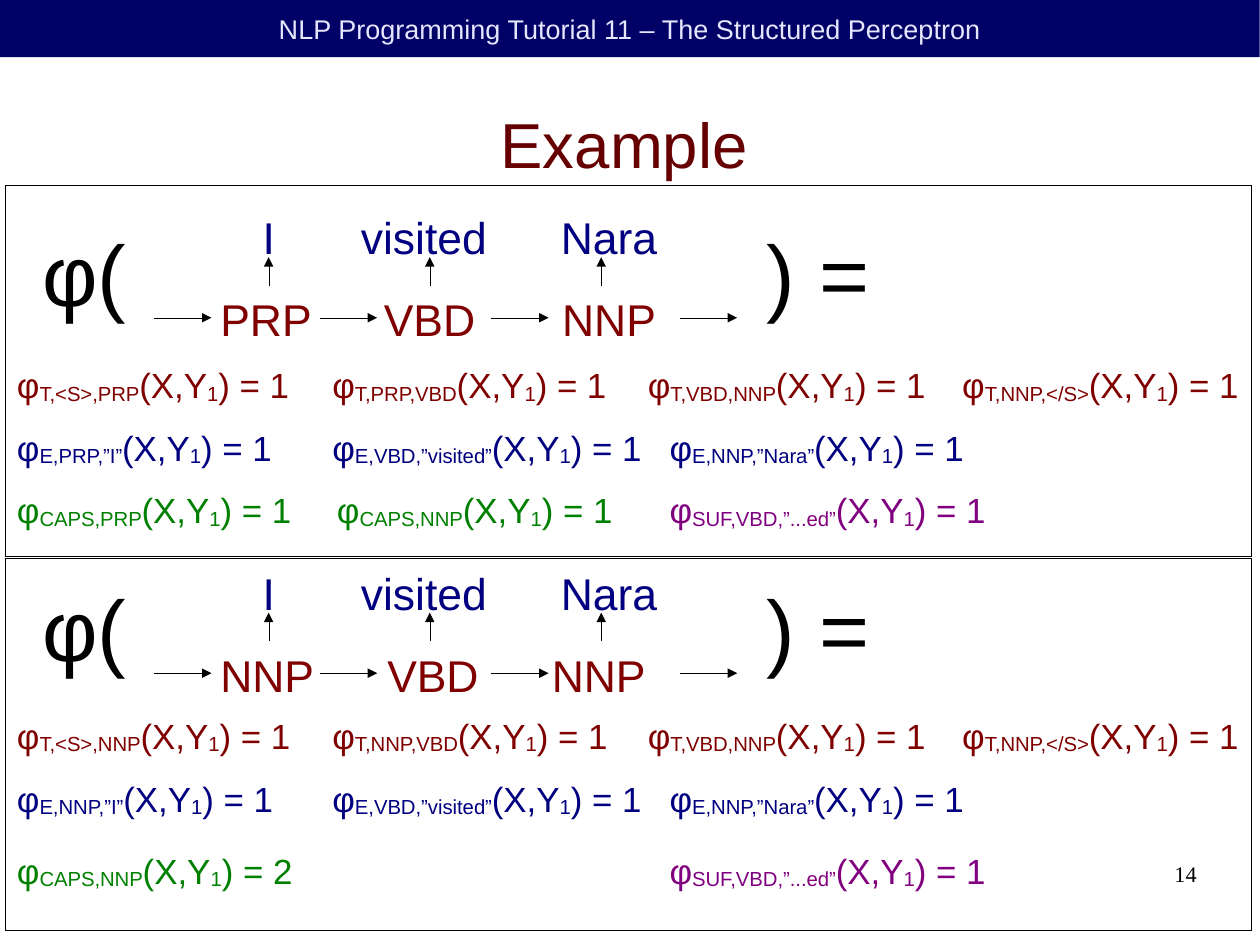
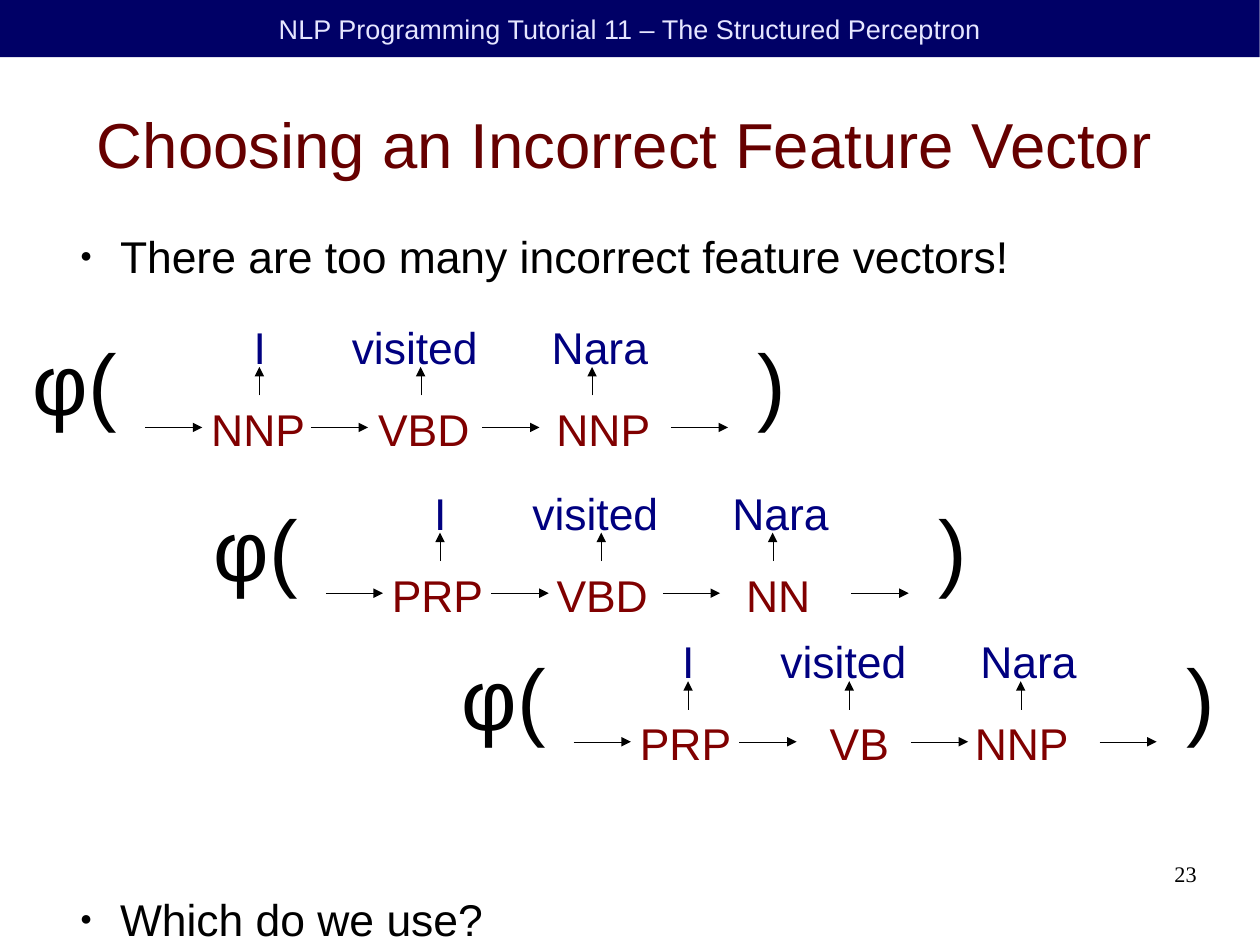
from dataclasses import dataclass
from typing import Any

from lxml import etree
from pptx import Presentation
from pptx import util as u
from pptx.dml.color import RGBColor
from pptx.enum import shapes, text
from pptx.oxml import ns

# Shared look
NAVY = RGBColor(0x00, 0x00, 0x66)
LAVENDER = RGBColor(0xE6, 0xE6, 0xFF)
MAROON = RGBColor(0x66, 0x00, 0x00)
RED = RGBColor(0x80, 0x00, 0x00)
BLUE = RGBColor(0x00, 0x00, 0x80)
GREEN = RGBColor(0x00, 0x80, 0x00)
PURPLE = RGBColor(0x80, 0x00, 0x80)
BLACK = RGBColor(0x00, 0x00, 0x00)
WIDTH = 11.02
HEADER = "NLP Programming Tutorial 11 – The Structured Perceptron"
LEFT, CENTER, RIGHT = text.PP_ALIGN.LEFT, text.PP_ALIGN.CENTER, text.PP_ALIGN.RIGHT
TOP, MIDDLE = text.MSO_ANCHOR.TOP, text.MSO_ANCHOR.MIDDLE

# Sequence diagram, measured from its top left corner
INSET = 0.1
WORDS = ("I", "visited", "Nara")
WORD_CENTERS = (3.44, 5.06)
UP_ARROWS = (2.08, 3.49, 4.99)
RIGHT_ARROWS = (1.08, 2.53, 4.03, 5.68)
CLOSING = 6.34

# Feature columns
COLUMNS = (0.05, 2.81, 5.57, 8.32)
THIRD = 5.76

Area = tuple[float, float, float, float]


@dataclass(frozen=True)
class Sequence:
    left: float
    top: float
    tags: tuple[str, str, str]
    tag_centers: tuple[float, float]
    closing: str = ")"


@dataclass(frozen=True)
class Feature:
    left: float
    top: float
    subscript: str
    color: RGBColor
    count: int = 1


@dataclass(frozen=True)
class Panel:
    top: float
    sequence: Sequence
    features: tuple[Feature, ...]


def apply(target: Any, formats: dict[str, Any]) -> None:
    for name, value in formats.items():
        setattr(target, name, value)


def place(box: Any, area: Area) -> None:
    apply(box, dict(zip(("left", "top", "width", "height"), map(u.Inches, area))))


def format_frame(frame: Any, side: float = 0, edge: float = 0, anchor: Any = TOP) -> None:
    apply(frame, {
        "word_wrap": True, "auto_size": text.MSO_AUTO_SIZE.NONE, "vertical_anchor": anchor,
        "margin_left": u.Inches(side), "margin_right": u.Inches(side),
        "margin_top": u.Inches(edge), "margin_bottom": u.Inches(edge),
    })


def add_span(para: Any, words: str, size: float, color: RGBColor, font: str = "Arial") -> Any:
    span = para.add_run()
    span.text = words
    apply(span.font, {"size": u.Pt(size), "name": font, "bold": False})
    span.font.color.rgb = color
    return span


def add_text(page: Any, area: Area, words: str, size: float, color: RGBColor,
             align: Any = LEFT, side: float = INSET, edge: float = 0.05,
             font: str = "Arial") -> Any:
    box = page.shapes.add_textbox(*map(u.Inches, area))
    format_frame(box.text_frame, side, edge)
    para = box.text_frame.paragraphs[0]
    para.alignment = align
    add_span(para, words, size, color, font)
    return para


def add_tabs(para: Any, stops: tuple[float, ...], align: str) -> None:
    tabs = etree.SubElement(para._p.get_or_add_pPr(), ns.qn("a:tabLst"))
    for stop in stops:
        etree.SubElement(tabs, ns.qn("a:tab"), pos=str(u.Inches(stop)), algn=align)


def add_rectangle(page: Any, area: Area) -> Any:
    box = page.shapes.add_shape(shapes.MSO_SHAPE.RECTANGLE, *map(u.Inches, area))
    box.shadow.inherit = False
    return box


def set_hairline(shape: Any) -> None:
    """Black line of the least width, free of the theme's line style."""
    shape.line.color.rgb = BLACK
    shape.line.width = u.Pt(0)
    shape._element.remove(shape._element.find(ns.qn("p:style")))


def add_arrow(page: Any, start: tuple[float, float], end: tuple[float, float]) -> None:
    arrow = page.shapes.add_connector(shapes.MSO_CONNECTOR.STRAIGHT,
                                      *map(u.Inches, start + end))
    set_hairline(arrow)
    etree.SubElement(arrow.line._get_or_add_ln(), ns.qn("a:tailEnd"), type="triangle")
    etree.SubElement(arrow._element.spPr, ns.qn("a:effectLst"))


def add_page(deck: Any, layout: int, title: str, number: int) -> Any:
    page = deck.slides.add_slide(deck.slide_layouts[layout])
    # Header band
    band = add_rectangle(page, (0, 0, WIDTH, 0.5))
    band.fill.solid()
    band.fill.fore_color.rgb = NAVY
    band.line.fill.background()
    format_frame(band.text_frame, INSET, 0.05, MIDDLE)
    para = band.text_frame.paragraphs[0]
    para.alignment = CENTER
    add_span(para, HEADER, 17, LAVENDER)
    # Title
    heading = page.shapes.title
    place(heading, (0.5, 0.62, 9.92, 1.27))
    format_frame(heading.text_frame, anchor=MIDDLE)
    para = heading.text_frame.paragraphs[0]
    para.alignment = CENTER
    add_span(para, title, 40, MAROON)
    # Page number
    add_text(page, (7.9, 7.53, 2.57, 0.57), str(number), 14, BLACK, RIGHT,
             side=0, edge=0, font="Times New Roman")
    return page


def add_bullets(page: Any, items: tuple[tuple[str, float], ...]) -> None:
    body = page.placeholders[1]
    place(body, (0.58, 2, 9.92, 5.83))
    format_frame(body.text_frame)
    for index, (words, gap) in enumerate(items):
        para = body.text_frame.add_paragraph() if index else body.text_frame.paragraphs[0]
        apply(para, {"space_before": u.Pt(0), "space_after": u.Pt(gap), "alignment": LEFT})
        props = para._p.get_or_add_pPr()
        props.set("marL", str(u.Inches(0.47)))
        props.set("indent", str(u.Inches(-0.35)))
        tint = etree.SubElement(props, ns.qn("a:buClr"))
        etree.SubElement(tint, ns.qn("a:srgbClr"), val=str(BLACK))
        etree.SubElement(props, ns.qn("a:buSzPct"), val="45000")
        etree.SubElement(props, ns.qn("a:buChar"), char="●")
        add_span(para, words, 28, BLACK)


def add_sequence(page: Any, item: Sequence) -> None:
    left, top = item.left, item.top
    # Words above their tags, centred on tab stops
    for labels, centers, start, drop, color in (
        (WORDS, WORD_CENTERS, 1.93, -0.09, BLUE),
        (item.tags, item.tag_centers, 1.56, 0.63, RED),
    ):
        para = add_text(page, (left + start, top + drop, 4.1, 0.53),
                        "\t".join(labels), 28, color)
        add_tabs(para, tuple(center - start - INSET for center in centers), "ctr")
    # Transitions and emissions
    for start in RIGHT_ARROWS:
        add_arrow(page, (left + start, top + 0.9), (left + start + 0.5, top + 0.9))
    for center in UP_ARROWS:
        add_arrow(page, (left + center, top + 0.62), (left + center, top + 0.37))
    # Enclosing function
    width = CLOSING + 0.25 + 0.35 * len(item.closing)
    para = add_text(page, (left, top, width, 0.94), f"φ(\t{item.closing}", 54, BLACK)
    add_tabs(para, (CLOSING,), "l")


def add_feature(page: Any, item: Feature) -> None:
    width = min(3, WIDTH - item.left)
    para = add_text(page, (item.left, item.top, width, 0.54), "φ", 22, item.color)
    for words, lowered in ((item.subscript, True), ("(X,Y", False), ("1", True),
                           (f") = {item.count}", False)):
        span = add_span(para, words, 22, item.color)
        if lowered:
            span._r.get_or_add_rPr().set("baseline", "-8000")


def add_panel(page: Any, panel: Panel) -> None:
    add_sequence(page, panel.sequence)
    for feature in panel.features:
        add_feature(page, feature)
    frame = add_rectangle(page, (0.05, panel.top, 10.9, 3.25))
    frame.fill.background()
    set_hairline(frame)


def shared_features(first_tag: str, top: float) -> tuple[Feature, ...]:
    """Transition and emission rows, which depend only on the first tag."""
    transitions = (f"T,<S>,{first_tag}", f"T,{first_tag},VBD", "T,VBD,NNP", "T,NNP,</S>")
    emissions = (f"E,{first_tag},”I”", "E,VBD,”visited”", "E,NNP,”Nara”")
    return (
        *(Feature(left, top, name, RED) for left, name in zip(COLUMNS, transitions)),
        *(Feature(left, top + 0.55, name, BLUE)
          for left, name in zip((*COLUMNS[:2], THIRD), emissions)),
    )


PANELS = (
    Panel(1.62, Sequence(0.27, 1.88, ("PRP", "VBD", "NNP"), (3.49, 5.06), ") ="), (
        *shared_features("PRP", 3.13),
        Feature(COLUMNS[0], 4.23, "CAPS,PRP", GREEN),
        Feature(2.85, 4.23, "CAPS,NNP", GREEN),
        Feature(THIRD, 4.23, "SUF,VBD,”...ed”", PURPLE),
    )),
    Panel(4.89, Sequence(0.27, 4.99, ("NNP", "VBD", "NNP"), (3.52, 4.97), ") ="), (
        *shared_features("NNP", 6.2),
        Feature(COLUMNS[0], 7.38, "CAPS,NNP", GREEN, 2),
        Feature(THIRD, 7.38, "SUF,VBD,”...ed”", PURPLE),
    )),
)
INCORRECT = (
    Sequence(0.19, 2.84, ("NNP", "VBD", "NNP"), (3.52, 5.09)),
    Sequence(1.77, 4.29, ("PRP", "VBD", "NN"), (3.5, 5.04)),
    Sequence(3.94, 5.59, ("PRP", "VB", "NNP"), (3.58, 5)),
)
BULLETS = (("There are too many incorrect feature vectors!", 384), ("Which do we use?", 14.2))


def main() -> None:
    deck = Presentation()
    deck.slide_width = u.Cm(28)
    deck.slide_height = u.Cm(21)

    # Two taggings with their features
    page = add_page(deck, 5, "Example", 14)
    for panel in PANELS:
        add_panel(page, panel)

    # Three incorrect taggings
    page = add_page(deck, 1, "Choosing an Incorrect Feature Vector", 23)
    add_bullets(page, BULLETS)
    for sequence in INCORRECT:
        add_sequence(page, sequence)

    deck.save("out.pptx")


if __name__ == "__main__":
    main()
